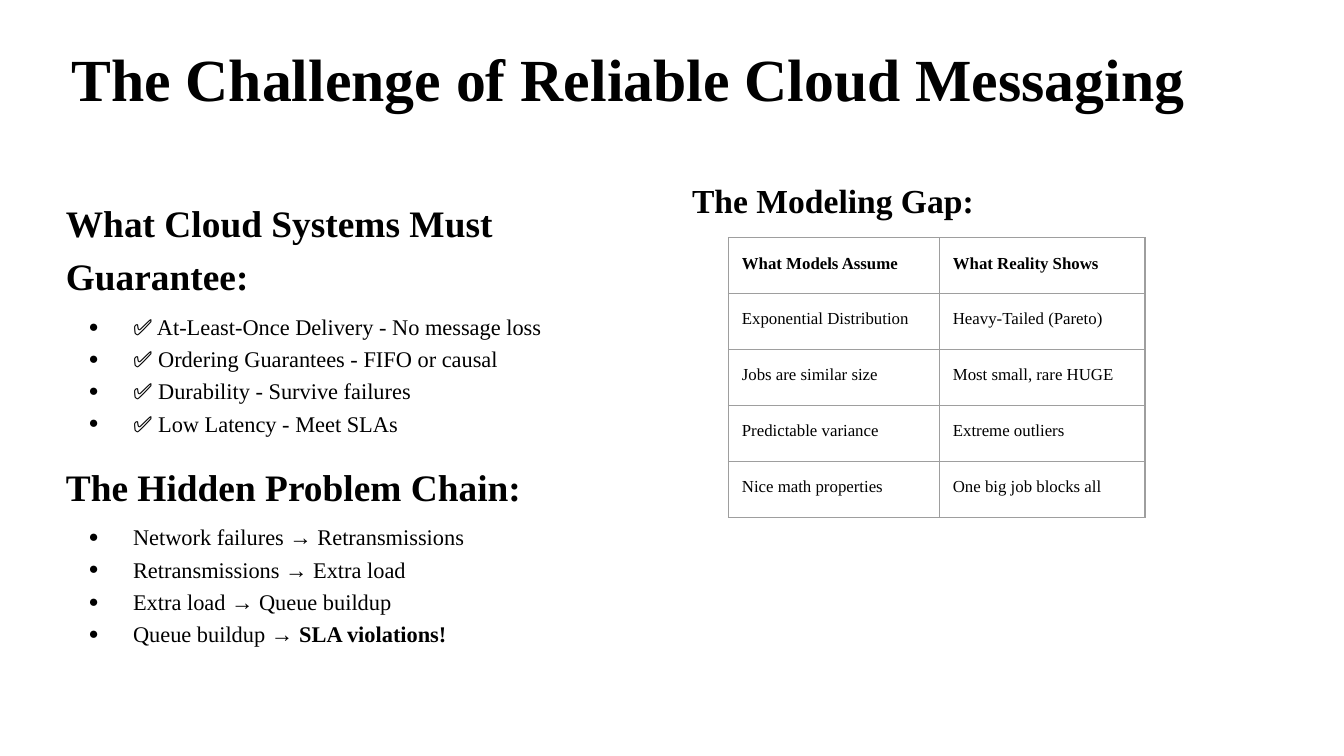
from lxml import etree
from pptx import Presentation
from pptx.dml.color import RGBColor
from pptx.oxml import ns
from pptx.util import Inches, Pt

BLACK = RGBColor(0, 0, 0)
GRAY = RGBColor(0x9E, 0x9E, 0x9E)
FACE = "Times New Roman"

# Widescreen slide, 16 to 9
deck = Presentation()
deck.slide_width = Inches(10)
deck.slide_height = Inches(10) * 9 // 16
slide = deck.slides.add_slide(deck.slide_layouts[6])


def add_box(left, top, width, height):
    frame = slide.shapes.add_textbox(
        Inches(left), Inches(top), Inches(width), Inches(height)).text_frame
    frame.word_wrap = True
    frame.margin_left = frame.margin_right = 0
    frame.margin_top = frame.margin_bottom = 0
    return frame


def style(para, size, bold, lines):
    para.line_spacing = lines
    font = para.font
    font.name, font.size, font.bold = FACE, Pt(size), bold
    font.color.rgb = BLACK


# Title and right heading
for place, words, size, lines in [
    ((0.53, 0.31, 8.95, 0.54), "The Challenge of Reliable Cloud Messaging", 32, 1.0),
    ((5.15, 1.29, 2.34, 1.28), "The Modeling Gap:", 18, 1.15),
]:
    para = add_box(*place).paragraphs[0]
    para.text = words
    style(para, size, True, lines)

# Left column: headings with bullets
groups = [
    ("What Cloud Systems Must Guarantee:", [
        "✅ At-Least-Once Delivery - No message loss",
        "✅ Ordering Guarantees - FIFO or causal",
        "✅ Durability - Survive failures",
        "✅ Low Latency - Meet SLAs"]),
    ("The Hidden Problem Chain:", [
        "Network failures → Retransmissions",
        "Retransmissions → Extra load",
        "Extra load → Queue buildup",
        "Queue buildup → "]),
]
body = add_box(0.49, 1.42, 4.35, 3.67)
for num, (head, items) in enumerate(groups):
    para = body.add_paragraph() if num else body.paragraphs[0]
    para.text = head
    if num:
        para.space_before = Pt(10)
    style(para, 20, True, 1.2)
    for row, item in enumerate(items):
        para = body.add_paragraph()
        para.text = item
        para.space_before = Pt(0 if row else 5)
        props = para._p.get_or_add_pPr()
        props.set("marL", str(Inches(0.5)))
        props.set("indent", str(Inches(-0.33)))
        tint = etree.SubElement(props, ns.qn("a:buClr"))
        etree.SubElement(tint, ns.qn("a:srgbClr"), val=str(BLACK))
        etree.SubElement(props, ns.qn("a:buSzPct"), val="75000")
        etree.SubElement(props, ns.qn("a:buFont"), typeface=FACE)
        etree.SubElement(props, ns.qn("a:buChar"), char="●")
        style(para, 12, False, 1.2)
run = para.add_run()
run.text = "SLA violations!"
run.font.bold = True

# Table of assumptions against reality
rows = [
    ("What Models Assume", "What Reality Shows"),
    ("Exponential Distribution", "Heavy-Tailed (Pareto)"),
    ("Jobs are similar size", "Most small, rare HUGE"),
    ("Predictable variance", "Extreme outliers"),
    ("Nice math properties", "One big job blocks all"),
]
table = slide.shapes.add_table(
    len(rows), 2, Inches(5.42), Inches(1.77), Inches(3.1), Inches(2.08)).table
table.horz_banding = False
for col, width in zip(table.columns, (1.57, 1.53)):
    col.width = Inches(width)
for r, line in enumerate(rows):
    for c, words in enumerate(line):
        cell = table.cell(r, c)
        cell.margin_left = cell.margin_right = Inches(0.1)
        cell.margin_top = cell.margin_bottom = Inches(0.1)
        para = cell.text_frame.paragraphs[0]
        para.text = words
        style(para, 9, r == 0, 1.15)
        props = cell._tc.get_or_add_tcPr()
        for side in ("lnL", "lnR", "lnT", "lnB"):
            edge = etree.SubElement(props, ns.qn("a:" + side), w=str(Pt(0.75)))
            fill = etree.SubElement(edge, ns.qn("a:solidFill"))
            etree.SubElement(fill, ns.qn("a:srgbClr"), val=str(GRAY))
        cell.fill.background()

deck.save("out.pptx")
